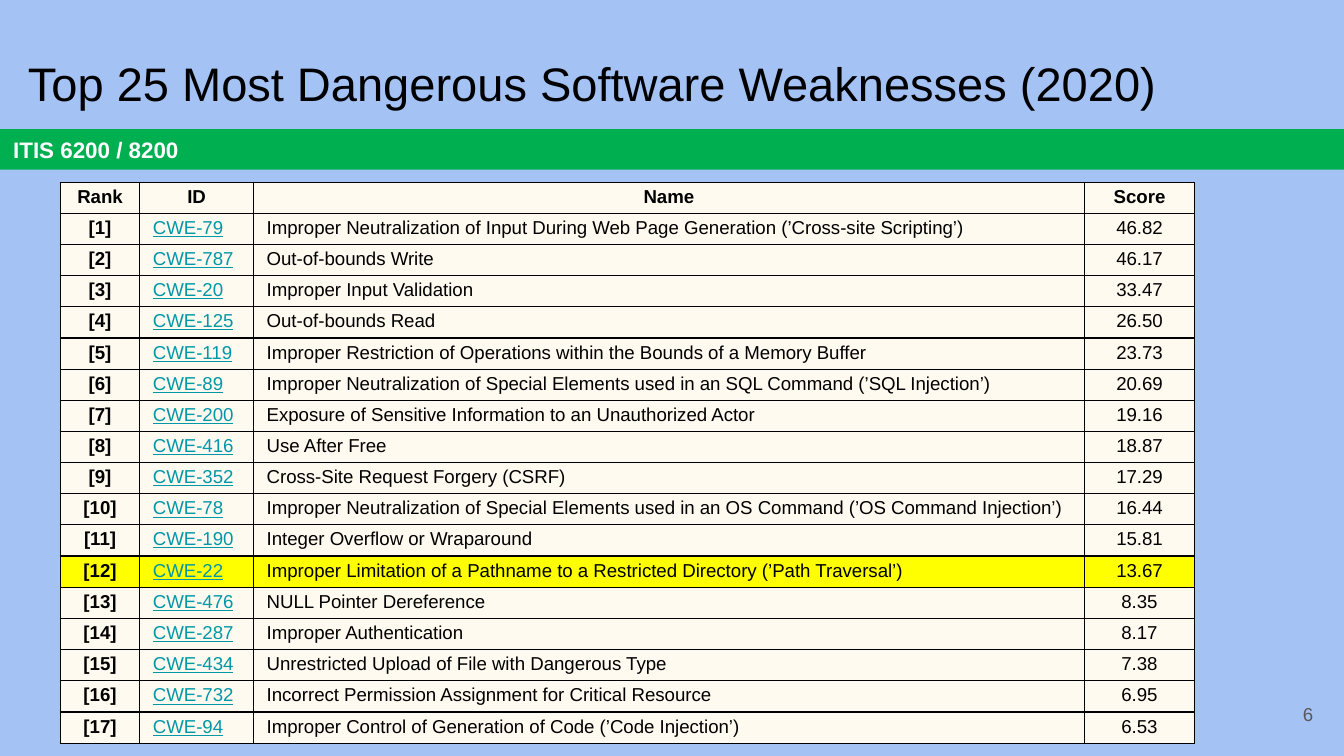
import pptx
import pptx.dml.color
import pptx.enum.shapes
import pptx.enum.text
import pptx.oxml
import pptx.oxml.ns
import pptx.util

Cm = pptx.util.Cm
Pt = pptx.util.Pt
ALIGN = pptx.enum.text.PP_ALIGN
ANCHOR = pptx.enum.text.MSO_ANCHOR

BLACK = "000000"
LINK = "0097A7"
CREAM = "FFFAF0"
YELLOW = "FFFF00"

HEADINGS = ("Rank", "ID", "Name", "Score")
WEAKNESSES = [
    ("CWE-79", "Improper Neutralization of Input During Web Page Generation (’Cross-site Scripting’)", "46.82"),
    ("CWE-787", "Out-of-bounds Write", "46.17"),
    ("CWE-20", "Improper Input Validation", "33.47"),
    ("CWE-125", "Out-of-bounds Read", "26.50"),
    ("CWE-119", "Improper Restriction of Operations within the Bounds of a Memory Buffer", "23.73"),
    ("CWE-89", "Improper Neutralization of Special Elements used in an SQL Command (’SQL Injection’)", "20.69"),
    ("CWE-200", "Exposure of Sensitive Information to an Unauthorized Actor", "19.16"),
    ("CWE-416", "Use After Free", "18.87"),
    ("CWE-352", "Cross-Site Request Forgery (CSRF)", "17.29"),
    ("CWE-78", "Improper Neutralization of Special Elements used in an OS Command (’OS Command Injection’)", "16.44"),
    ("CWE-190", "Integer Overflow or Wraparound", "15.81"),
    ("CWE-22", "Improper Limitation of a Pathname to a Restricted Directory (’Path Traversal’)", "13.67"),
    ("CWE-476", "NULL Pointer Dereference", "8.35"),
    ("CWE-287", "Improper Authentication", "8.17"),
    ("CWE-434", "Unrestricted Upload of File with Dangerous Type", "7.38"),
    ("CWE-732", "Incorrect Permission Assignment for Critical Resource", "6.95"),
    ("CWE-94", "Improper Control of Generation of Code (’Code Injection’)", "6.53"),
]
HIGHLIGHTED_RANK = 12
SHORT_ROWS = (1, 2, 6, 10)


def color(hex_string):
    return pptx.dml.color.RGBColor.from_string(hex_string)


def write_text(frame, text, size, text_color, align=ALIGN.LEFT, bold=False, margin=0.25):
    """Fill a shape's or cell's text frame with one Arial run."""
    frame.word_wrap = True
    frame.margin_left = frame.margin_right = Cm(0.25)
    frame.margin_top = frame.margin_bottom = Cm(margin)
    paragraph = frame.paragraphs[0]
    paragraph.alignment = align
    run = paragraph.add_run()
    run.text = text
    run.font.name = "Arial"
    run.font.size = Pt(size)
    run.font.bold = bold
    run.font.color.rgb = color(text_color)
    return run


presentation = pptx.Presentation()
presentation.slide_width = Cm(25.4)
presentation.slide_height = Cm(14.29)
slide = presentation.slides.add_slide(presentation.slide_layouts[6])
slide.background.fill.solid()
slide.background.fill.fore_color.rgb = color("A4C2F4")

# Course banner
banner = slide.shapes.add_shape(
    pptx.enum.shapes.MSO_SHAPE.RECTANGLE, Cm(0), Cm(2.44), Cm(25.4), Cm(0.77))
banner.shadow.inherit = False
banner.fill.solid()
banner.fill.fore_color.rgb = color("00B050")
banner.line.fill.background()
banner.text_frame.vertical_anchor = ANCHOR.MIDDLE
write_text(banner.text_frame, "ITIS 6200 / 8200", 12, "FFFFFF", bold=True)

# Title and slide number
title = slide.shapes.add_textbox(Cm(0.28), Cm(0.76), Cm(23.67), Cm(1.6))
title.text_frame.vertical_anchor = ANCHOR.MIDDLE
write_text(title.text_frame, "Top 25 Most Dangerous Software Weaknesses (2020)", 25.2, BLACK)

slide_number = slide.shapes.add_textbox(Cm(23.55), Cm(12.95), Cm(1.52), Cm(1.09))
slide_number.text_frame.vertical_anchor = ANCHOR.MIDDLE
write_text(slide_number.text_frame, "6", 10, "595959", ALIGN.RIGHT)

# Table of weaknesses
rows = [HEADINGS] + [(f"[{rank}]", *weakness) for rank, weakness in enumerate(WEAKNESSES, 1)]
table = slide.shapes.add_table(
    len(rows), len(HEADINGS), Cm(1.14), Cm(3.45), Cm(21.44), Cm(10.46)).table
table.first_row = False
table.horz_banding = False
for column, width in zip(table.columns, (1.5, 2.15, 15.7, 2.09)):
    column.width = Cm(width)

for row_index, values in enumerate(rows):
    table.rows[row_index].height = Cm(0.55 if row_index in SHORT_ROWS else 0.59)
    for heading, cell, text in zip(HEADINGS, table.rows[row_index].cells, values):
        is_header = row_index == 0
        is_link = heading == "ID" and not is_header
        centered = is_header or heading in ("Rank", "Score")
        run = write_text(
            cell.text_frame, text, 10, LINK if is_link else BLACK,
            ALIGN.CENTER if centered else ALIGN.LEFT,
            bold=is_header or heading == "Rank", margin=0.08)
        run.font.underline = is_link
        cell.margin_left = cell.margin_right = Cm(0.25)
        cell.margin_top = cell.margin_bottom = Cm(0.08)

        properties = cell._tc.get_or_add_tcPr()
        for side in ("lnL", "lnR", "lnT", "lnB"):
            properties.append(pptx.oxml.parse_xml(
                f'<a:{side} {pptx.oxml.ns.nsdecls("a")} w="{Pt(0.75)}"><a:solidFill>'
                f'<a:srgbClr val="{BLACK}"/></a:solidFill></a:{side}>'))
        cell.fill.solid()
        cell.fill.fore_color.rgb = color(YELLOW if row_index == HIGHLIGHTED_RANK else CREAM)

presentation.save("out.pptx")
